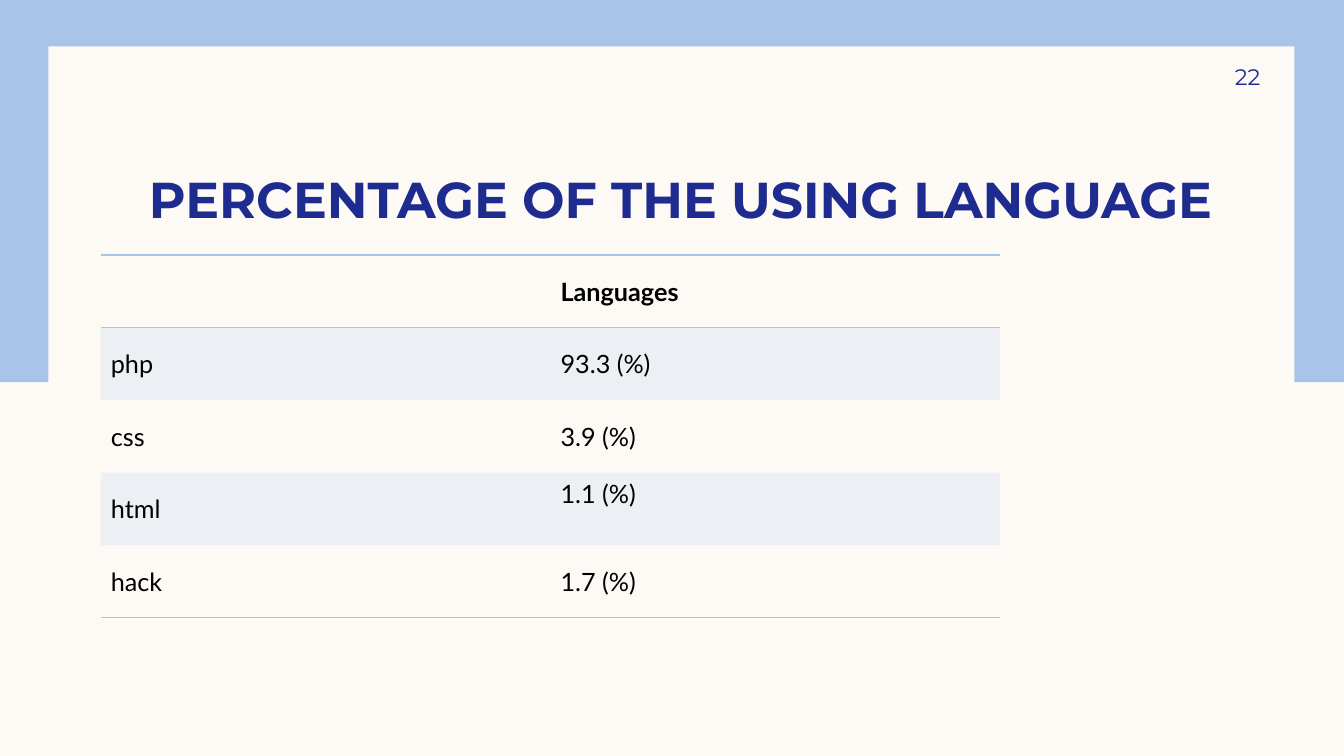
import dataclasses

import lxml.etree
import pptx
import pptx.dml.color
import pptx.enum.shapes
import pptx.enum.text
import pptx.oxml
import pptx.oxml.ns
import pptx.util

Inches = pptx.util.Inches
Pt = pptx.util.Pt
Align = pptx.enum.text.PP_ALIGN
Anchor = pptx.enum.text.MSO_ANCHOR
qn = pptx.oxml.ns.qn


@dataclasses.dataclass(frozen=True)
class Theme:
    paper: str = "FDFAF6"
    sky: str = "AAC3E8"
    navy: str = "1F2C8F"
    ink: str = "000000"
    head: str = "Montserrat"
    body: str = "Lato"
    title: int = 36
    cell: int = 18
    page: int = 16


THEME = Theme()
PLAIN = "{2D5ABB26-0587-4C30-8999-92F81FD0307C}"  # table style without grid
ROWS = [
    ("", "Languages"),
    ("php", "93.3 (%)"),
    ("css", "3.9 (%)"),
    ("html", "1.1 (%)"),
    ("hack", "1.7 (%)"),
]


def rgb(code):
    return pptx.dml.color.RGBColor.from_string(code)


def style(para, name, size, color, bold=False):
    font = para.font
    font.name, font.size, font.bold = name, Pt(size), bold
    font.color.rgb = rgb(color)


def panel(slide, box, color):
    rect = slide.shapes.add_shape(
        pptx.enum.shapes.MSO_SHAPE.RECTANGLE, *map(Inches, box))
    rect.shadow.inherit = False
    rect.fill.solid()
    rect.fill.fore_color.rgb = rgb(color)
    rect.line.fill.background()


def frame(slide, box):
    """Blue band with a paper sheet inset in it."""
    left, top, width, height = box
    panel(slide, box, THEME.sky)
    panel(slide, (left + 0.51, top + 0.46, width - 1, 6.59), THEME.paper)


def heading(slide, box, text):
    title = slide.shapes.title
    title.left, title.top, title.width, title.height = map(Inches, box)
    slide.shapes._spTree.append(title._element)  # in front of the panels
    body = title.text_frame
    body.text = text
    body.word_wrap = True
    body.auto_size = pptx.enum.text.MSO_AUTO_SIZE.NONE
    body.vertical_anchor = Anchor.BOTTOM
    body.margin_left = body.margin_right = Inches(0.1)
    body.margin_top = body.margin_bottom = 0
    para = body.paragraphs[0]
    para.alignment = Align.CENTER
    style(para, THEME.head, THEME.title, THEME.navy, True)


def rule(cell, side):
    """Draw a thin line on the T or B side of a cell."""
    line = lxml.etree.Element(qn("a:ln" + side), w=str(Pt(1)))
    fill = lxml.etree.SubElement(line, qn("a:solidFill"))
    lxml.etree.SubElement(fill, qn("a:srgbClr"), val=THEME.sky)
    cell._tc.get_or_add_tcPr().insert(0, line)


def tint(cell):
    cell.fill.solid()
    cell.fill.fore_color.rgb = rgb(THEME.sky)
    color = cell._tc.tcPr.find(".//" + qn("a:srgbClr"))
    lxml.etree.SubElement(color, qn("a:alpha"), val="20000")


def grid(slide, box, rows):
    left, top, width, height = map(Inches, box)
    table = slide.shapes.add_table(
        len(rows), len(rows[0]), left, top, width, height).table
    table.horz_banding = False
    table._tbl.tblPr.find(qn("a:tableStyleId")).text = PLAIN
    for r, row in enumerate(rows):
        for c, text in enumerate(row):
            cell = table.cell(r, c)
            cell.text = text
            cell.vertical_anchor = Anchor.MIDDLE
            style(cell.text_frame.paragraphs[0], THEME.body, THEME.cell,
                  THEME.ink, r == 0)
            if r % 2:
                tint(cell)
            else:
                cell.fill.background()
            if r in (0, len(rows) - 1):
                rule(cell, "B")
            if r == 0:
                rule(cell, "T")
    # The html share sits above the middle of its row
    table.cell(3, 1).margin_bottom = Inches(0.35)


def number(slide, box, text):
    body = slide.shapes.add_textbox(*map(Inches, box)).text_frame
    body.word_wrap = True
    body.vertical_anchor = Anchor.MIDDLE
    body.margin_right = 0
    body.text = text
    para = body.paragraphs[0]
    para.alignment = Align.RIGHT
    style(para, THEME.head, THEME.page, THEME.navy)


def main():
    deck = pptx.Presentation()
    deck.slide_width, deck.slide_height = Inches(13.33), Inches(7.5)
    slide = deck.slides.add_slide(deck.slide_layouts[5])
    slide.background.fill.solid()
    slide.background.fill.fore_color.rgb = rgb(THEME.paper)

    frame(slide, (-0.03, 0, 13.36, 3.79))
    heading(slide, (1, 1.16, 11.5, 1.11), "PERCENTAGE OF THE USING LANGUAGE")
    grid(slide, (1, 2.53, 8.92, 3.6), ROWS)
    number(slide, (11.33, 0.5, 1.17, 0.52), "22")
    deck.save("out.pptx")


if __name__ == "__main__":
    main()
